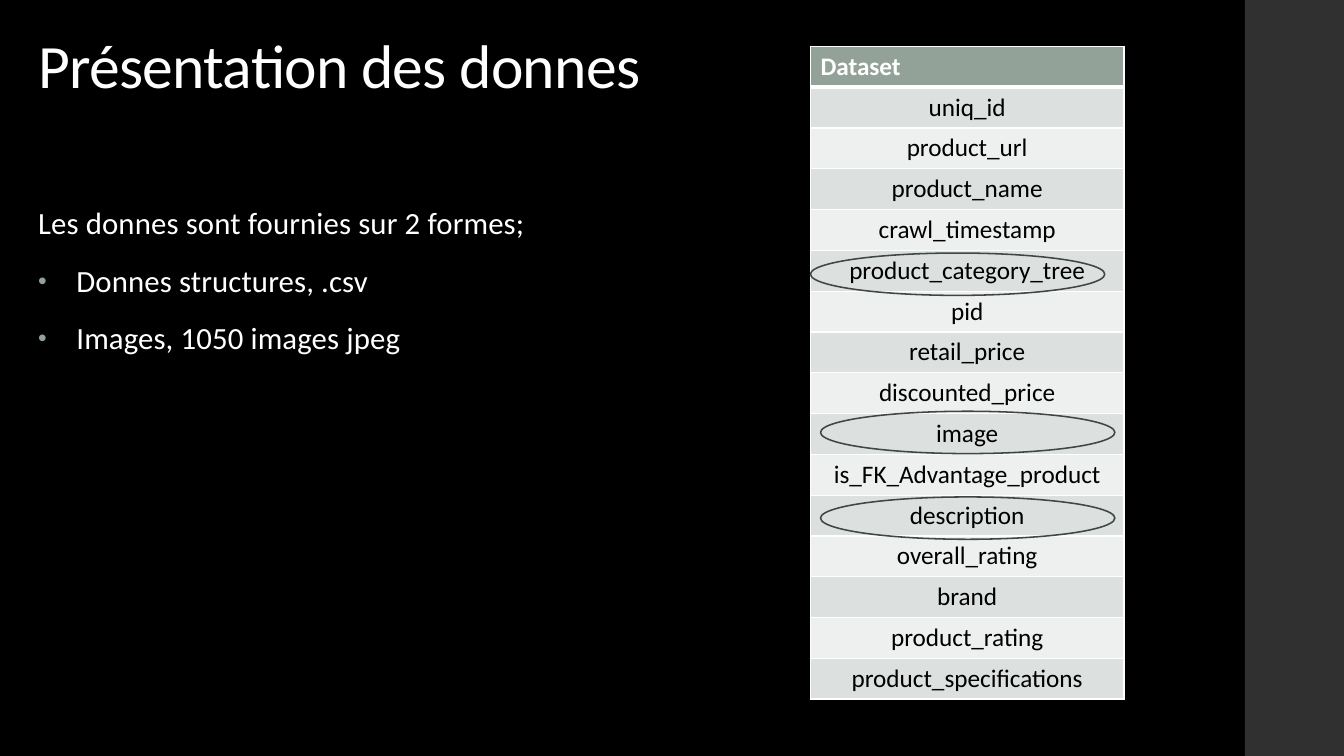
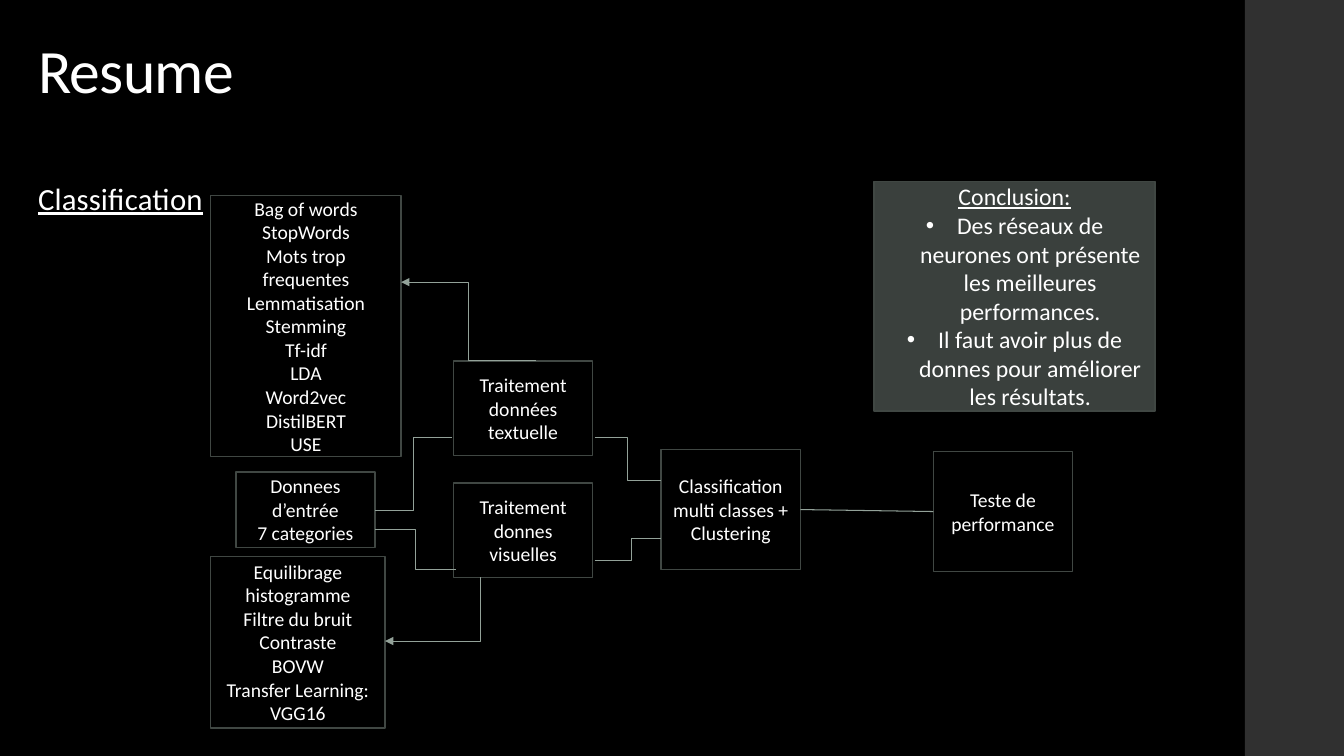
from dataclasses import dataclass

from lxml.etree import SubElement
from pptx import Presentation
from pptx.dml.color import RGBColor
from pptx.enum.shapes import MSO_CONNECTOR, MSO_SHAPE
from pptx.enum.text import MSO_ANCHOR, PP_ALIGN
from pptx.oxml.ns import qn
from pptx.util import Inches, Pt


@dataclass(frozen=True)
class Theme:
    font: str = "Calibri"
    background: str = "000000"
    sidebar: str = "303030"
    light: str = "FFFFFF"
    dark: str = "000000"
    accent: str = "93A299"
    outline: str = "404743"
    bands: tuple = ("DCE0DE", "EEF0EF")
    title_size: int = 44
    body_size: int = 22
    table_size: int = 18
    conclusion_size: int = 17
    step_size: int = 14
    outline_width: float = 1.1
    link_width: float = 0.75


@dataclass(frozen=True)
class Line:
    text: str
    underline: bool = False
    bullet: bool = False


THEME = Theme()
SLIDE_W, SLIDE_H = Inches(13.333), Inches(7.5)
MARGIN, CONTENT_W, SIDEBAR_X = 2.1, 87.5, 92.63
STEP_W = 10.35

COLUMNS = [
    "uniq_id", "product_url", "product_name", "crawl_timestamp",
    "product_category_tree", "pid", "retail_price", "discounted_price",
    "image", "is_FK_Advantage_product", "description", "overall_rating",
    "brand", "product_rating", "product_specifications",
]
TEXT_METHODS = [
    "Bag of words", "StopWords", "Mots trop frequentes", "Lemmatisation",
    "Stemming", "Tf-idf", "LDA", "Word2vec", "DistilBERT", "USE",
]
IMAGE_METHODS = [
    "Equilibrage histogramme", "Filtre du bruit", "Contraste", "BOVW",
    "Transfer Learning:", "VGG16",
]


def across(share):
    """Length for a percentage of the slide width."""
    return round(SLIDE_W * share / 100)


def down(share):
    """Length for a percentage of the slide height."""
    return round(SLIDE_H * share / 100)


def area(x, y, w, h):
    return across(x), down(y), across(w), down(h)


def rgb(color):
    return RGBColor.from_string(color)


def add_bullet(paragraph, indent, color=None, percent=100):
    properties = paragraph._p.get_or_add_pPr()
    properties.set("marL", str(Inches(indent)))
    properties.set("indent", str(-Inches(indent)))
    if color:
        tint = SubElement(properties, qn("a:buClr"))
        SubElement(tint, qn("a:srgbClr"), val=color)
    SubElement(properties, qn("a:buSzPct"), val=str(percent * 1000))
    SubElement(properties, qn("a:buFont"), typeface="Arial")
    SubElement(properties, qn("a:buChar"), char="•")


def write(frame, lines, *, size, color=THEME.light, bold=False,
          align=PP_ALIGN.LEFT, anchor=MSO_ANCHOR.TOP, line_spacing=None,
          before=0, after=0, tracking=0, indent=0.38, bullet_color=None,
          bullet_percent=100):
    """Fill a text frame; tracking is in hundredths of a point."""
    frame.word_wrap = True
    frame.vertical_anchor = anchor
    for index, line in enumerate(lines):
        if isinstance(line, str):
            line = Line(line)
        paragraph = frame.add_paragraph() if index else frame.paragraphs[0]
        if line.bullet:
            add_bullet(paragraph, indent, bullet_color, bullet_percent)
        paragraph.alignment = align
        if line_spacing:
            paragraph.line_spacing = line_spacing
        paragraph.space_before = Pt(before if index else 0)
        paragraph.space_after = Pt(after)
        run = paragraph.add_run()
        run.text = line.text
        font = run.font
        font.name, font.size, font.bold = THEME.font, Pt(size), bold
        font.underline = line.underline
        font.color.rgb = rgb(color)
        if tracking:
            run._r.get_or_add_rPr().set("spc", str(tracking))


def add_figure(slide, kind, box, fill=None, opacity=100, outline=THEME.outline):
    figure = slide.shapes.add_shape(kind, *area(*box))
    figure.shadow.inherit = False
    if fill:
        figure.fill.solid()
        figure.fill.fore_color.rgb = rgb(fill)
        if opacity < 100:
            tint = figure.fill._xPr.find(qn("a:solidFill"))[0]
            SubElement(tint, qn("a:alpha"), val=str(opacity * 1000))
    else:
        figure.fill.background()
    if outline:
        figure.line.color.rgb = rgb(outline)
        figure.line.width = Pt(THEME.outline_width)
    else:
        figure.line.fill.background()
    return figure


def add_step(slide, box, lines, size=THEME.step_size, indent=0.31, **look):
    """Outlined box with centred text."""
    step = add_figure(slide, MSO_SHAPE.RECTANGLE, box, **look)
    write(step.text_frame, lines, size=size, align=PP_ALIGN.CENTER,
          anchor=MSO_ANCHOR.MIDDLE, indent=indent)
    return step


def add_link(slide, kind, start, end, arrow=False, bend=None):
    """Connector; bend is the share of its width before an elbow turns."""
    link = slide.shapes.add_connector(
        kind, across(start[0]), down(start[1]), across(end[0]), down(end[1]))
    link.line.color.rgb = rgb(THEME.accent)
    link.line.width = Pt(THEME.link_width)
    if arrow:
        SubElement(link.line._get_or_add_ln(), qn("a:tailEnd"), type="triangle")
    properties = link._element.spPr
    SubElement(properties, qn("a:effectLst"))
    if bend is not None:
        guides = properties.find(qn("a:prstGeom")).find(qn("a:avLst"))
        SubElement(guides, qn("a:gd"), name="adj1", fmla=f"val {round(bend * 100000)}")
    return link


def add_content_slide(deck, title, title_y):
    slide = deck.slides.add_slide(deck.slide_layouts[6])
    slide.background.fill.solid()
    slide.background.fill.fore_color.rgb = rgb(THEME.background)
    add_figure(slide, MSO_SHAPE.RECTANGLE, (SIDEBAR_X, 0, 100 - SIDEBAR_X, 100),
               fill=THEME.sidebar, outline=None)
    heading = slide.shapes.add_textbox(*area(MARGIN, title_y, CONTENT_W, 19.33))
    write(heading.text_frame, [title], size=THEME.title_size,
          line_spacing=0.9, tracking=-50)
    return slide


def add_body(slide, y, h, lines):
    body = slide.shapes.add_textbox(*area(MARGIN, y, CONTENT_W, h))
    write(body.text_frame, lines, size=THEME.body_size, line_spacing=0.95,
          before=14, after=2, tracking=10, bullet_color=THEME.accent,
          bullet_percent=80)


def style_cell(cell, text, fill, bottom=1, **text_format):
    cell.fill.solid()
    cell.fill.fore_color.rgb = rgb(fill)
    write(cell.text_frame, [text], size=THEME.table_size, **text_format)
    properties = cell._tc.get_or_add_tcPr()
    widths = {"a:lnL": 1, "a:lnR": 1, "a:lnT": 1, "a:lnB": bottom}
    for position, (edge, width) in enumerate(widths.items()):
        border = SubElement(properties, qn(edge), w=str(Pt(width)))
        paint = SubElement(border, qn("a:solidFill"))
        SubElement(paint, qn("a:srgbClr"), val=THEME.light)
        properties.insert(position, border)


def add_dataset_table(slide, x, y, w, row_h):
    row_count = len(COLUMNS) + 1
    table = slide.shapes.add_table(
        row_count, 1, *area(x, y, w, row_h * row_count)).table
    for row in table.rows:
        row.height = down(row_h)
    style_cell(table.cell(0, 0), "Dataset", THEME.accent, bottom=3, bold=True)
    for index, name in enumerate(COLUMNS):
        style_cell(table.cell(index + 1, 0), name, THEME.bands[index % 2],
                   color=THEME.dark, align=PP_ALIGN.CENTER)


def build_data_slide(deck):
    slide = add_content_slide(deck, "Présentation des donnes", title_y=4)
    add_body(slide, 26.67, 63.5, [
        "Les donnes sont fournies sur 2 formes;",
        Line("Donnes structures, .csv", bullet=True),
        Line("Images, 1050 images jpeg", bullet=True),
    ])
    add_dataset_table(slide, x=60.3, y=6.13, w=23.33, row_h=5.4)
    for x, y in ((60.3, 33.47), (61.05, 54.4), (61.05, 65.73)):
        add_figure(slide, MSO_SHAPE.OVAL, (x, y, 21.9, 5.6))


def build_summary_slide(deck):
    slide = add_content_slide(deck, "Resume", title_y=4.67)
    add_body(slide, 23.47, 73.73, [Line("Classification", underline=True)])

    add_step(slide, (15.68, 25.87, 14.18, 34.53), TEXT_METHODS)
    add_step(slide, (15.68, 73.6, 12.98, 22.67), IMAGE_METHODS)
    add_step(slide, (17.55, 62.4, STEP_W, 10), ["Donnees d’entrée", "7 categories"])
    add_step(slide, (33.75, 47.73, STEP_W, 12.53), ["Traitement données textuelle"])
    add_step(slide, (33.75, 63.87, STEP_W, 12.53), ["Traitement donnes visuelles"])
    classification = add_step(slide, (49.2, 59.47, STEP_W, 15.87),
                              ["Classification multi classes + Clustering"])
    evaluation = add_step(slide, (69.45, 59.73, STEP_W, 15.87),
                          ["Teste de performance"])

    elbows = [
        ((39.9, 47.73), (29.85, 37.33), True, None),
        ((35.7, 76.4), (28.65, 84.8), True, -0.01),
        ((27.9, 67.47), (33.6, 57.87), False, None),
        ((27.9, 70), (33.9, 75.33), False, None),
        ((44.25, 57.87), (49.2, 63.6), False, None),
        ((44.25, 74.13), (49.2, 71.2), False, 0.55),
    ]
    for start, end, arrow, bend in elbows:
        add_link(slide, MSO_CONNECTOR.ELBOW, start, end, arrow, bend)
    to_evaluation = add_link(slide, MSO_CONNECTOR.STRAIGHT,
                             (59.55, 67.4), (69.45, 67.67))
    to_evaluation.begin_connect(classification, 3)
    to_evaluation.end_connect(evaluation, 1)

    add_step(slide, (65.03, 24, 20.93, 30.4), [
        Line("Conclusion:", underline=True),
        Line("Des réseaux de neurones ont présente les meilleures performances.",
             bullet=True),
        Line("Il faut avoir plus de donnes pour améliorer les résultats.",
             bullet=True),
    ], size=THEME.conclusion_size, fill=THEME.accent, opacity=40)


def main():
    deck = Presentation()
    deck.slide_width, deck.slide_height = SLIDE_W, SLIDE_H
    build_data_slide(deck)
    build_summary_slide(deck)
    deck.save("out.pptx")


if __name__ == "__main__":
    main()
